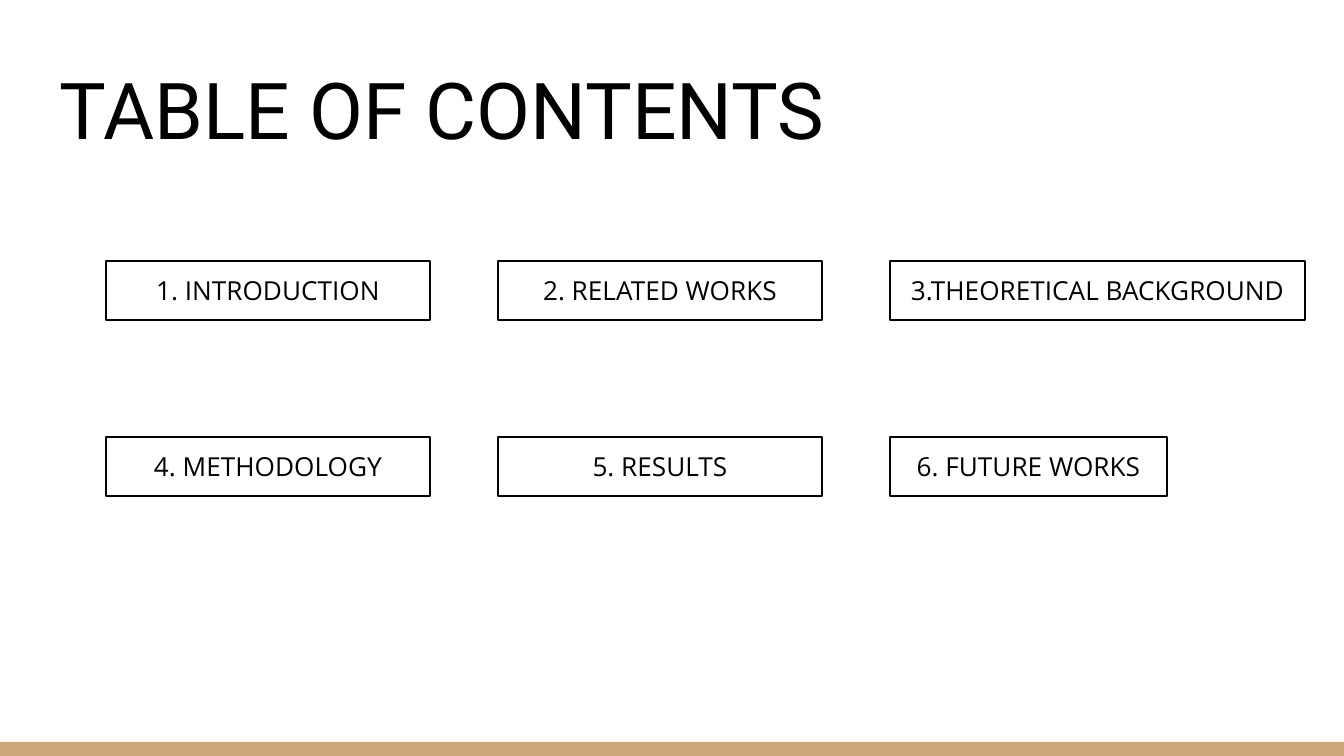
from pptx import Presentation
from pptx import util as u
from pptx.dml.color import RGBColor
from pptx.enum import shapes, text

PX = 914400 / 134.4
BLACK = RGBColor(0x00, 0x00, 0x00)
WHITE = RGBColor(0xFF, 0xFF, 0xFF)
TAN = RGBColor(0xCC, 0xA6, 0x77)

COLUMN_LEFT, COLUMN_STEP = 106, 392
ROW_TOP, ROW_STEP = 261, 176
ENTRY_WIDTH, ENTRY_HEIGHT = 324, 59
INSET = u.Inches(0.1)

# Each entry has its label and its box width.
ROWS = [
    [("1. INTRODUCTION", ENTRY_WIDTH),
     ("2. RELATED WORKS", ENTRY_WIDTH),
     ("3.THEORETICAL BACKGROUND", 415)],
    [("4. METHODOLOGY", ENTRY_WIDTH),
     ("5. RESULTS", ENTRY_WIDTH),
     ("6. FUTURE WORKS", 277)],
]


def px(*lengths):
    """Turn pixel lengths into EMU."""
    return [u.Emu(round(length * PX)) for length in lengths]


def write(frame, wording, font, size, align):
    """Put one black run into a text frame with even insets."""
    frame.word_wrap = True
    frame.margin_left = frame.margin_right = INSET
    frame.margin_top = frame.margin_bottom = INSET
    paragraph = frame.paragraphs[0]
    paragraph.alignment = align
    run = paragraph.add_run()
    run.text = wording
    run.font.name = font
    run.font.size = u.Pt(size)
    run.font.color.rgb = BLACK


def add_rectangle(slide, left, top, width, height):
    rectangle = slide.shapes.add_shape(
        shapes.MSO_SHAPE.RECTANGLE, *px(left, top, width, height))
    rectangle.shadow.inherit = False
    return rectangle


def add_footer_bar(slide):
    bar = add_rectangle(slide, 0, 742, 1344, 14)
    bar.fill.solid()
    bar.fill.fore_color.rgb = TAN
    bar.line.fill.background()


def set_title(slide, wording):
    title = slide.shapes.title
    title.left, title.top, title.width, title.height = px(46, 47, 1252, 122)
    frame = title.text_frame
    frame.auto_size = text.MSO_AUTO_SIZE.NONE
    frame.vertical_anchor = text.MSO_ANCHOR.BOTTOM
    write(frame, wording, "Roboto", 42, text.PP_ALIGN.LEFT)


def add_entry(slide, left, top, width, label):
    box = add_rectangle(slide, left, top, width, ENTRY_HEIGHT)
    box.fill.background()
    box.line.color.rgb = BLACK
    box.line.width = u.Pt(1.5)
    frame = box.text_frame
    frame.auto_size = text.MSO_AUTO_SIZE.SHAPE_TO_FIT_TEXT
    frame.vertical_anchor = text.MSO_ANCHOR.TOP
    write(frame, label, "Open Sans", 14, text.PP_ALIGN.CENTER)


def main():
    deck = Presentation()
    deck.slide_width, deck.slide_height = px(1344, 756)
    slide = deck.slides.add_slide(deck.slide_layouts.get_by_name("Title Only"))
    slide.background.fill.solid()
    slide.background.fill.fore_color.rgb = WHITE

    add_footer_bar(slide)
    set_title(slide, "TABLE OF CONTENTS")
    for row, entries in enumerate(ROWS):
        for column, (label, width) in enumerate(entries):
            add_entry(slide, COLUMN_LEFT + column * COLUMN_STEP,
                      ROW_TOP + row * ROW_STEP, width, label)

    deck.save("out.pptx")


if __name__ == "__main__":
    main()
